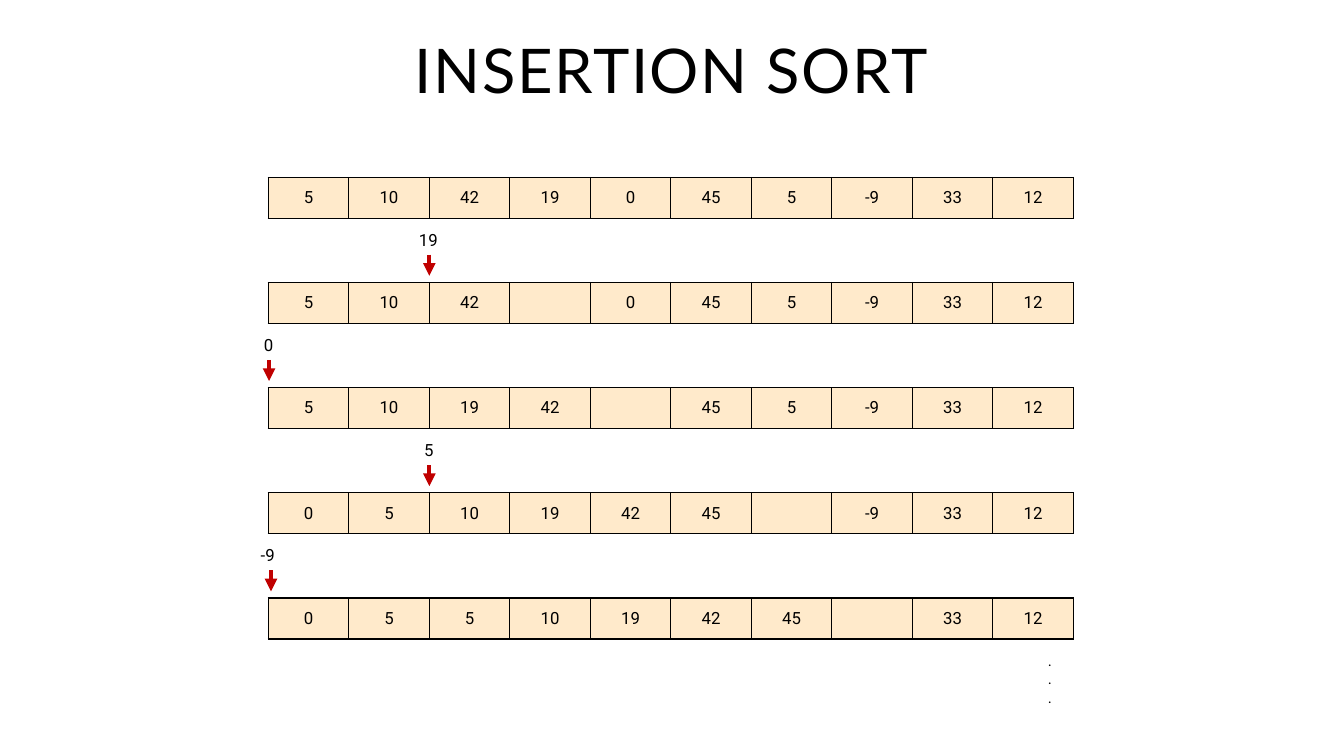
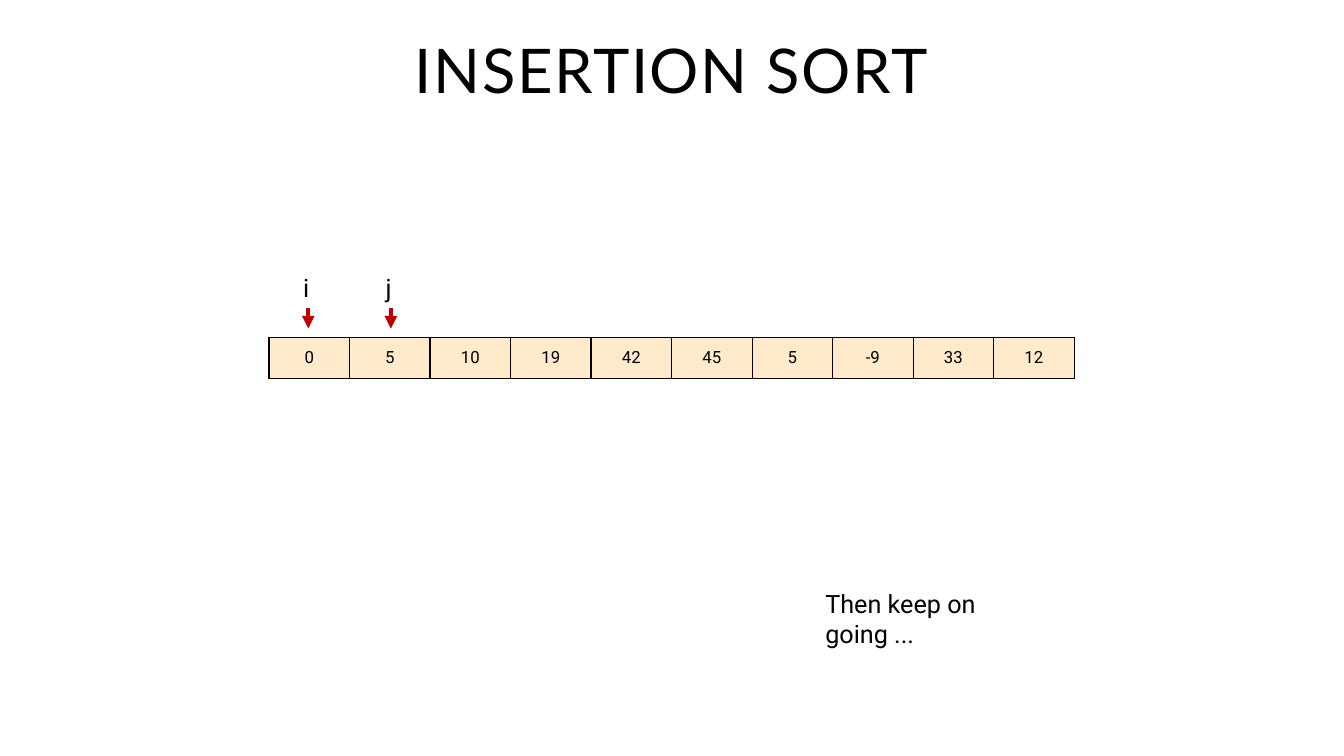
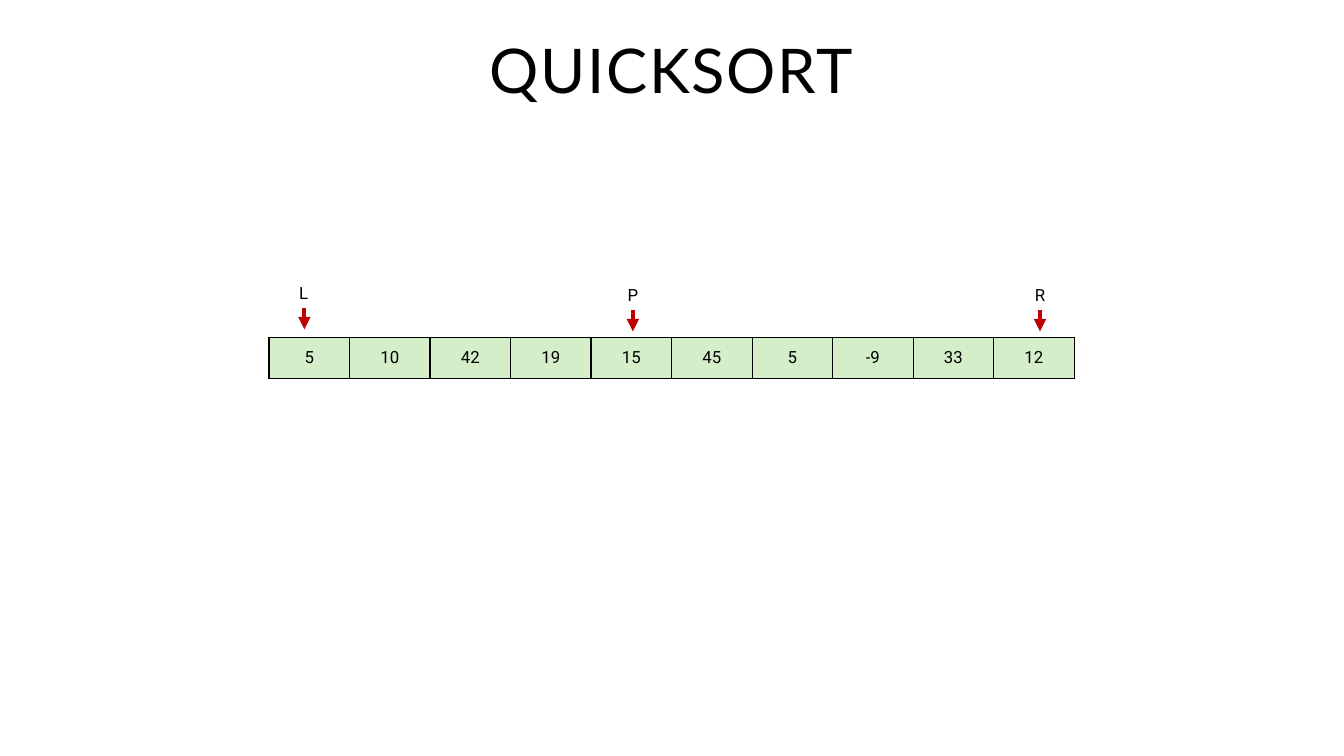
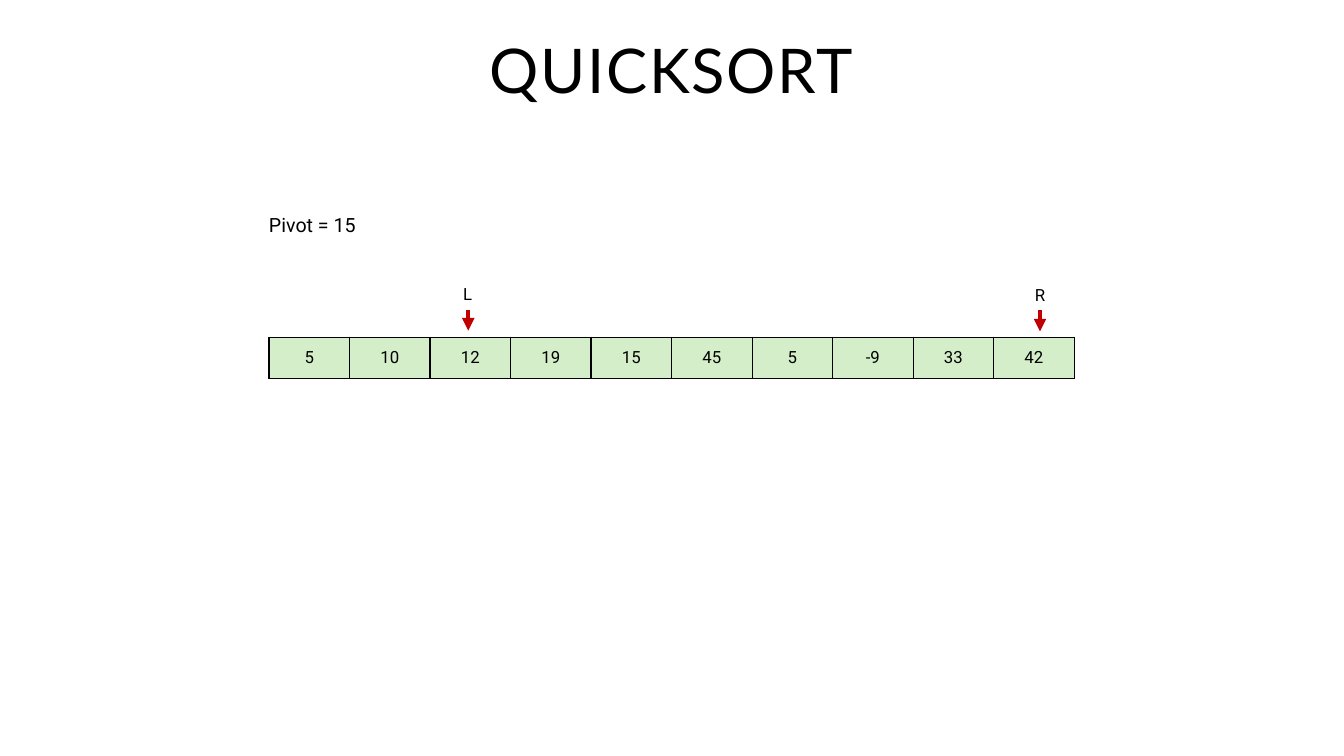
from dataclasses import dataclass

from pptx import Presentation
from pptx.dml.color import RGBColor
from pptx.enum.shapes import MSO_CONNECTOR
from pptx.enum.text import MSO_ANCHOR, MSO_AUTO_SIZE, PP_ALIGN
from pptx.oxml.ns import qn
from pptx.slide import Slide
from pptx.text.text import TextFrame
from pptx.util import Cm, Pt
from lxml import etree

# Colours, fonts and enum members
BLACK = RGBColor(0x00, 0x00, 0x00)
RED = RGBColor(0xC0, 0x00, 0x00)
PEACH = RGBColor(0xFF, 0xEA, 0xCB)
GREEN = RGBColor(0xD3, 0xEE, 0xC9)
TITLE_FONT, BODY_FONT = "Lato", "Roboto"
STRAIGHT = MSO_CONNECTOR.STRAIGHT
TOP, MIDDLE = MSO_ANCHOR.TOP, MSO_ANCHOR.MIDDLE
FIT_SHAPE, NO_FIT = MSO_AUTO_SIZE.SHAPE_TO_FIT_TEXT, MSO_AUTO_SIZE.NONE
LEFT, CENTER = PP_ALIGN.LEFT, PP_ALIGN.CENTER

# Measures in centimetres
CELL_WIDTH, CELL_HEIGHT = 2.03, 1.03
ARRAY_LEFT, ARRAY_TOP = 6.78, 8.5
STEPS_LEFT, STEPS_TOP, STEP_PITCH = 6.76, 4.47, 2.65
ARROW_LENGTH = 0.53


@dataclass(frozen=True)
class Pointer:
    """A label over an arrow whose tip ends just above an array."""
    label: str
    x: float
    gap: float = 0.17
    size: int = 12


@dataclass(frozen=True)
class Array:
    values: tuple[str, ...]
    pointers: tuple[Pointer, ...] = ()


@dataclass(frozen=True)
class Note:
    lines: tuple[str, ...]
    left: float
    top: float
    width: float
    height: float
    size: int
    wrap: bool = True


@dataclass(frozen=True)
class Page:
    title: str
    fill: RGBColor
    left: float
    top: float
    arrays: tuple[Array, ...]
    notes: tuple[Note, ...] = ()


def row(text: str) -> tuple[str, ...]:
    """Split the cell values; an underscore stands for the empty slot."""
    return tuple("" if value == "_" else value for value in text.split())


PAGES = (
    Page("INSERTION SORT", PEACH, STEPS_LEFT, STEPS_TOP, (
        Array(row("5 10 42 19 0 45 5 -9 33 12")),
        Array(row("5 10 42 _ 0 45 5 -9 33 12"), (Pointer("19", 10.82),)),
        Array(row("5 10 19 42 _ 45 5 -9 33 12"), (Pointer("0", 6.78),)),
        Array(row("0 5 10 19 42 45 _ -9 33 12"), (Pointer("5", 10.82),)),
        Array(row("0 5 5 10 19 42 45 _ 33 12"), (Pointer("-9", 6.83),)),
    ), (Note((".", ".", "."), 26.16, 16.28, 0.6, 1.68, 11, wrap=False),)),
    Page("INSERTION SORT", PEACH, ARRAY_LEFT, ARRAY_TOP, (
        Array(row("0 5 10 19 42 45 5 -9 33 12"),
              (Pointer("i", 7.77, 0.22, 18), Pointer("j", 9.85, 0.22, 18))),
    ), (Note(("Then keep on going ...",), 20.55, 14.7, 4.8, 1.72, 18),)),
    Page("QUICKSORT", GREEN, ARRAY_LEFT, ARRAY_TOP, (
        Array(row("5 10 42 19 15 45 5 -9 33 12"),
              (Pointer("L", 7.67, 0.2), Pointer("P", 15.95, 0.15),
               Pointer("R", 26.21, 0.15))),
    )),
    Page("QUICKSORT", GREEN, ARRAY_LEFT, ARRAY_TOP, (
        Array(row("5 10 12 19 15 45 5 -9 33 42"),
              (Pointer("L", 11.8, 0.17), Pointer("R", 26.21, 0.15))),
    ), (Note(("Pivot = 15",), 6.53, 5.23, 3.02, 0.86, 14),)),
)


def write(frame: TextFrame, lines: tuple[str, ...], size: int,
          font: str = BODY_FONT, align: PP_ALIGN = LEFT) -> None:
    formats = {"name": font, "size": Pt(size)}
    for index, line in enumerate(lines):
        paragraph = frame.add_paragraph() if index else frame.paragraphs[0]
        paragraph.alignment = align
        run = paragraph.add_run()
        run.text = line
        for attribute, value in formats.items():
            setattr(run.font, attribute, value)
        run.font.color.rgb = BLACK


def add_frame(slide: Slide, left: float, top: float, width: float,
              height: float, wrap: bool, fit: MSO_AUTO_SIZE = FIT_SHAPE) -> TextFrame:
    frame = slide.shapes.add_textbox(
        Cm(left), Cm(top), Cm(width), Cm(height)).text_frame
    formats = {"word_wrap": wrap, "auto_size": fit, "vertical_anchor": TOP}
    for attribute, value in formats.items():
        setattr(frame, attribute, value)
    return frame


def add_title(slide: Slide, title: str) -> None:
    frame = add_frame(slide, 2.67, 0.89, 28.52, 1.83, True, NO_FIT)
    write(frame, (title,), 44, TITLE_FONT, CENTER)
    heading = frame.paragraphs[0]
    heading.line_spacing = 0.9
    heading.runs[0]._r.get_or_add_rPr().set("spc", "120")


def add_borders(cell) -> None:
    properties = cell._tc.get_or_add_tcPr()
    for index, side in enumerate(("a:lnL", "a:lnR", "a:lnT", "a:lnB")):
        border = etree.Element(qn(side), w=str(Pt(1)))
        fill = etree.SubElement(border, qn("a:solidFill"))
        etree.SubElement(fill, qn("a:srgbClr"), val=str(BLACK))
        properties.insert(index, border)


def add_array(slide: Slide, values: tuple[str, ...], left: float, top: float,
              fill: RGBColor) -> None:
    table = slide.shapes.add_table(
        1, len(values), Cm(left), Cm(top),
        Cm(CELL_WIDTH * len(values)), Cm(CELL_HEIGHT)).table
    table.first_row = table.horz_banding = False
    formats = {"vertical_anchor": MIDDLE,
               "margin_top": Cm(0.1), "margin_bottom": Cm(0.1)}
    for column, value in enumerate(values):
        table.columns[column].width = Cm(CELL_WIDTH)
        cell = table.cell(0, column)
        for attribute, setting in formats.items():
            setattr(cell, attribute, setting)
        cell.fill.solid()
        cell.fill.fore_color.rgb = fill
        add_borders(cell)
        if value:
            write(cell.text_frame, (value,), 12, align=CENTER)


def add_pointer(slide: Slide, pointer: Pointer, array_top: float) -> None:
    # Arrow
    tip = array_top - pointer.gap
    start = tip - ARROW_LENGTH
    arrow = slide.shapes.add_connector(
        STRAIGHT, Cm(pointer.x), Cm(start), Cm(pointer.x), Cm(tip))
    arrow.line.color.rgb = RED
    arrow.line.width = Pt(3)
    etree.SubElement(arrow.line._get_or_add_ln(), qn("a:tailEnd"), type="triangle")
    etree.SubElement(arrow._element.spPr, qn("a:effectLst"))
    # Label, centred on the arrow and resting on its start
    width = 0.5 + 0.26 * len(pointer.label)
    height = 0.25 + 0.043 * pointer.size
    frame = add_frame(slide, pointer.x - width / 2, start - height,
                      width, height, False)
    write(frame, (pointer.label,), pointer.size)


def main() -> None:
    deck = Presentation()
    deck.slide_width, deck.slide_height = Cm(33.87), Cm(19.05)
    for page in PAGES:
        slide = deck.slides.add_slide(deck.slide_layouts[6])
        add_title(slide, page.title)
        # Arrays with their pointers
        for step, array in enumerate(page.arrays):
            top = page.top + step * STEP_PITCH
            add_array(slide, array.values, page.left, top, page.fill)
            for pointer in array.pointers:
                add_pointer(slide, pointer, top)
        # Remarks
        for note in page.notes:
            frame = add_frame(slide, note.left, note.top, note.width,
                              note.height, note.wrap)
            write(frame, note.lines, note.size)
    deck.save("out.pptx")


if __name__ == "__main__":
    main()
